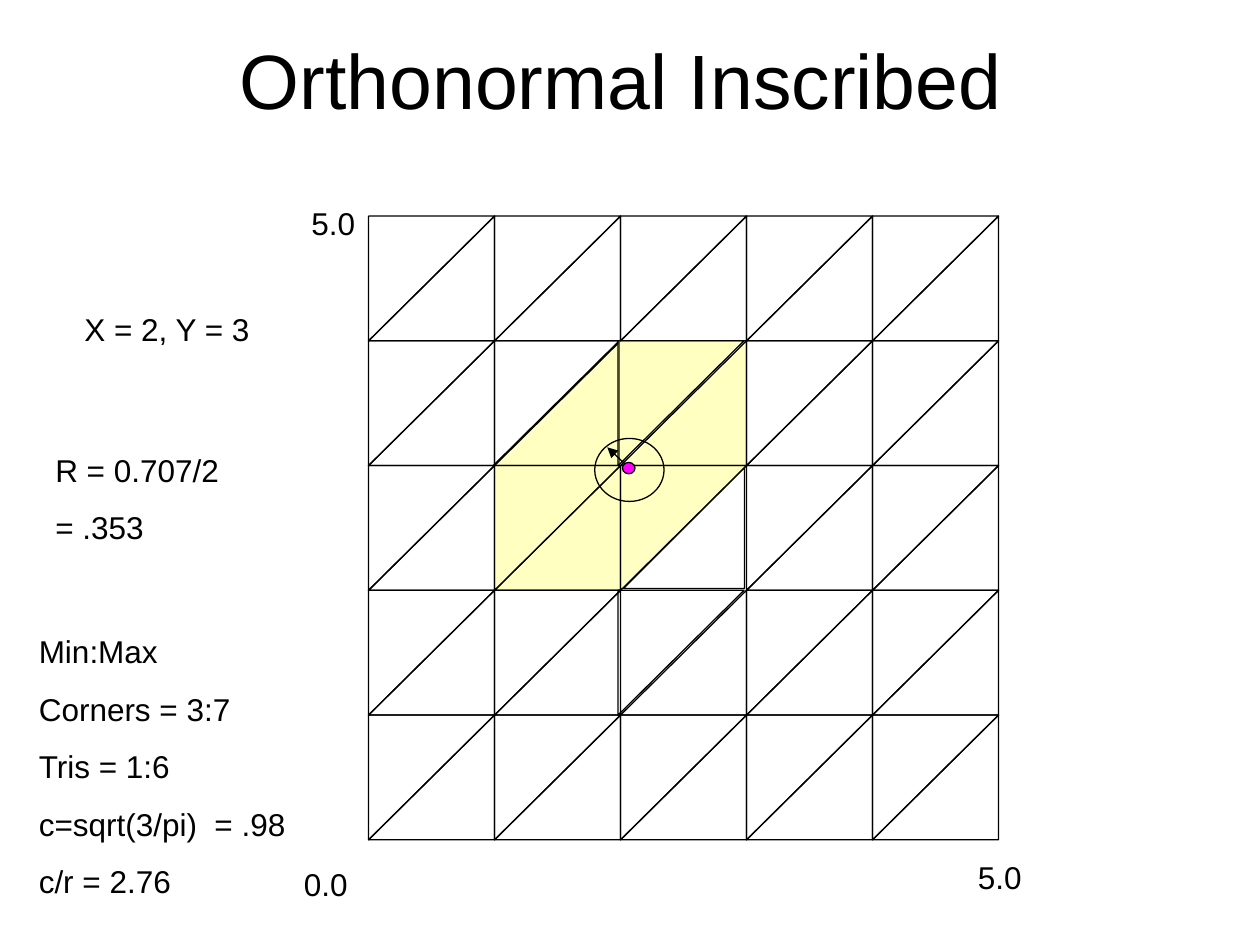
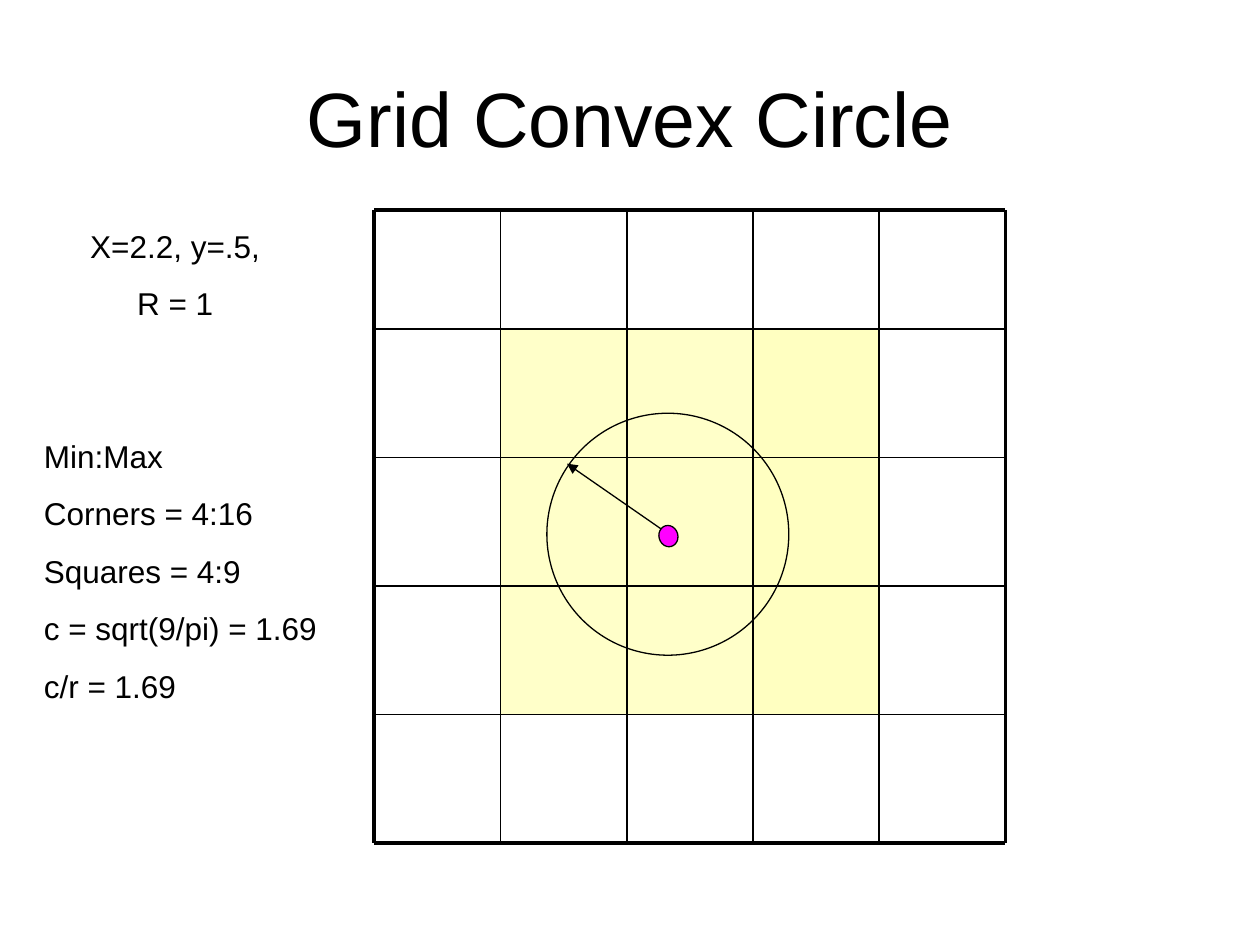
from itertools import product

from lxml.etree import SubElement
from pptx import Presentation
from pptx.dml.color import RGBColor
from pptx.enum.shapes import MSO_CONNECTOR as Connector, MSO_SHAPE as Shape
from pptx.enum.text import MSO_ANCHOR as Anchor, MSO_AUTO_SIZE as AutoSize, PP_ALIGN as Align
from pptx.oxml.ns import qn
from pptx.util import Inches, Pt

# Shared style
FONT = "Arial"
BLACK, YELLOW, MAGENTA = "000000", "FFFF66", "FF00FF"
THIN, MEDIUM, THICK = 0.75, 1, 2.25
CELLS = 5

# Triangle mesh: the right angle sits top left at 90 and bottom right at 270
UPPER, LOWER = 90, 270
MESH_LEFT, MESH_TOP, ROW_STEP = 2.93, 1.71, 0.99
COVERED = {(1, 1, LOWER), (2, 1, LOWER), (2, 1, UPPER),
           (1, 2, LOWER), (1, 2, UPPER), (2, 2, UPPER)}
SHIFTED = {(2, 1, UPPER): -0.02, (2, 3, UPPER): -0.02, (1, 1, LOWER): -0.01}
SMALLER = (2, 2, LOWER)

# Square grid: the top row is lower than the others
GRID_LEFT, GRID_RIGHT = 2.97, 7.98
GRID_TOP, GRID_BOTTOM = 1.67, 6.69
SECOND_ROW, SQUARE_HEIGHT = 2.61, 1.02


def colour(hex_code):
    return RGBColor.from_string(hex_code)


def add_text(page, place, lines, size=18, align=Align.LEFT):
    box = page.shapes.add_textbox(*map(Inches, place))
    frame = box.text_frame
    frame.word_wrap = True
    frame.auto_size = AutoSize.SHAPE_TO_FIT_TEXT
    frame.text = "\n".join(lines)
    for index, para in enumerate(frame.paragraphs):
        para.alignment = align
        if index:
            para.space_before = Pt(11.2)
        for span in para.runs:
            span.font.name = FONT
            span.font.size = Pt(size)
            span.font.color.rgb = colour(BLACK)
    return box


def add_title(page, left, top, text):
    frame = add_text(page, (left, top, 9, 1.25), [text], 44, Align.CENTER).text_frame
    frame.auto_size = AutoSize.NONE
    frame.vertical_anchor = Anchor.MIDDLE


def add_figure(page, kind, place, fill=None, opacity=100, outlined=True, rotation=0):
    figure = page.shapes.add_shape(kind, *map(Inches, place))
    figure.shadow.inherit = False
    figure.rotation = rotation
    if fill:
        figure.fill.solid()
        figure.fill.fore_color.rgb = colour(fill)
        if opacity < 100:
            tint = figure.fill._xPr.find(f".//{qn('a:srgbClr')}")
            SubElement(tint, qn("a:alpha"), val=str(opacity * 1000))
    else:
        figure.fill.background()
    if outlined:
        figure.line.color.rgb = colour(BLACK)
        figure.line.width = Pt(THIN)
    else:
        figure.line.fill.background()
    return figure


def add_line(page, start, end, width=THIN, arrow=False):
    line = page.shapes.add_connector(Connector.STRAIGHT, *map(Inches, (*start, *end)))
    line.line.color.rgb = colour(BLACK)
    line.line.width = Pt(width)
    if arrow:
        SubElement(line.line._get_or_add_ln(), qn("a:tailEnd"), type="triangle")
    SubElement(line._element.spPr, qn("a:effectLst"))


def add_radius_circle(page, circle, arrow_start, arrow_end, dot, dot_rotation=0):
    add_figure(page, Shape.OVAL, circle)
    add_line(page, arrow_start, arrow_end, arrow=True)
    add_figure(page, Shape.OVAL, dot, MAGENTA, rotation=dot_rotation)


def add_triangle_mesh(page):
    for row, column, turn in product(range(CELLS), range(CELLS), (LOWER, UPPER)):
        key = (column, row, turn)
        left = MESH_LEFT + column + SHIFTED.get(key, 0)
        top = MESH_TOP + row * ROW_STEP
        place = (left, top, 0.99, 1)
        if key == SMALLER:
            place = (left + 0.02, top + 0.02, 0.96, 0.96)
        fill = YELLOW if key in COVERED else None
        add_figure(page, Shape.RIGHT_TRIANGLE, place, fill, 40, rotation=turn)


def add_square_grid(page):
    step = (GRID_RIGHT - GRID_LEFT) / CELLS
    columns = [GRID_LEFT + index * step for index in range(CELLS + 1)]
    rows = [GRID_TOP] + [SECOND_ROW + index * SQUARE_HEIGHT for index in range(CELLS)]
    # Squares that the circle can touch
    for row, column in product(range(1, 4), repeat=2):
        place = (columns[column], rows[row], step, SQUARE_HEIGHT)
        opacity = 40 if column == 3 else 35
        add_figure(page, Shape.RECTANGLE, place, YELLOW, opacity, outlined=False)
    # Grid lines, thick on the border
    for index, (x, y) in enumerate(zip(columns, rows)):
        width = THICK if index in (0, CELLS) else MEDIUM
        add_line(page, (GRID_LEFT, y), (GRID_RIGHT, y), width)
        add_line(page, (x, GRID_TOP), (x, GRID_BOTTOM), width)


def build_inscribed(page):
    add_title(page, 0.43, 0, "Orthonormal Inscribed")
    add_triangle_mesh(page)
    for left, top, label in ((2.03, 6.82, "0.0"), (2.09, 1.57, "5.0"), (7.38, 6.76, "5.0")):
        add_text(page, (left, top, 1.11, 0.4), [label], align=Align.CENTER)
    add_text(page, (0.3, 2.41, 2.05, 0.4), ["X = 2, Y = 3"], align=Align.CENTER)
    add_text(page, (0.34, 3.53, 1.71, 0.86), ["R = 0.707/2", "= .353"])
    add_text(page, (0.21, 4.97, 2.66, 2.23),
             ["Min:Max", "Corners = 3:7", "Tris = 1:6", "c=sqrt(3/pi)  = .98", "c/r = 2.76"])
    add_radius_circle(page, (4.72, 3.48, 0.55, 0.5), (5, 3.72), (4.82, 3.55),
                      (4.94, 3.67, 0.1, 0.09))


def build_convex_circle(page):
    add_title(page, 0.5, 0.3, "Grid Convex Circle")
    add_square_grid(page)
    add_radius_circle(page, (4.34, 3.28, 1.92, 1.92), (5.25, 4.2), (4.5, 3.68),
                      (5.23, 4.17, 0.15, 0.17), 344.3)
    add_text(page, (0.58, 1.75, 1.62, 0.86), ["X=2.2, y=.5,", "R = 1"], align=Align.CENTER)
    add_text(page, (0.25, 3.42, 2.66, 2.23),
             ["Min:Max", "Corners = 4:16", "Squares = 4:9", "c = sqrt(9/pi) = 1.69",
              "c/r = 1.69"])


def main():
    deck = Presentation()
    deck.slide_width, deck.slide_height = Inches(10), Inches(7.5)
    for build in (build_inscribed, build_convex_circle):
        build(deck.slides.add_slide(deck.slide_layouts[6]))
    deck.save("out.pptx")


if __name__ == "__main__":
    main()
